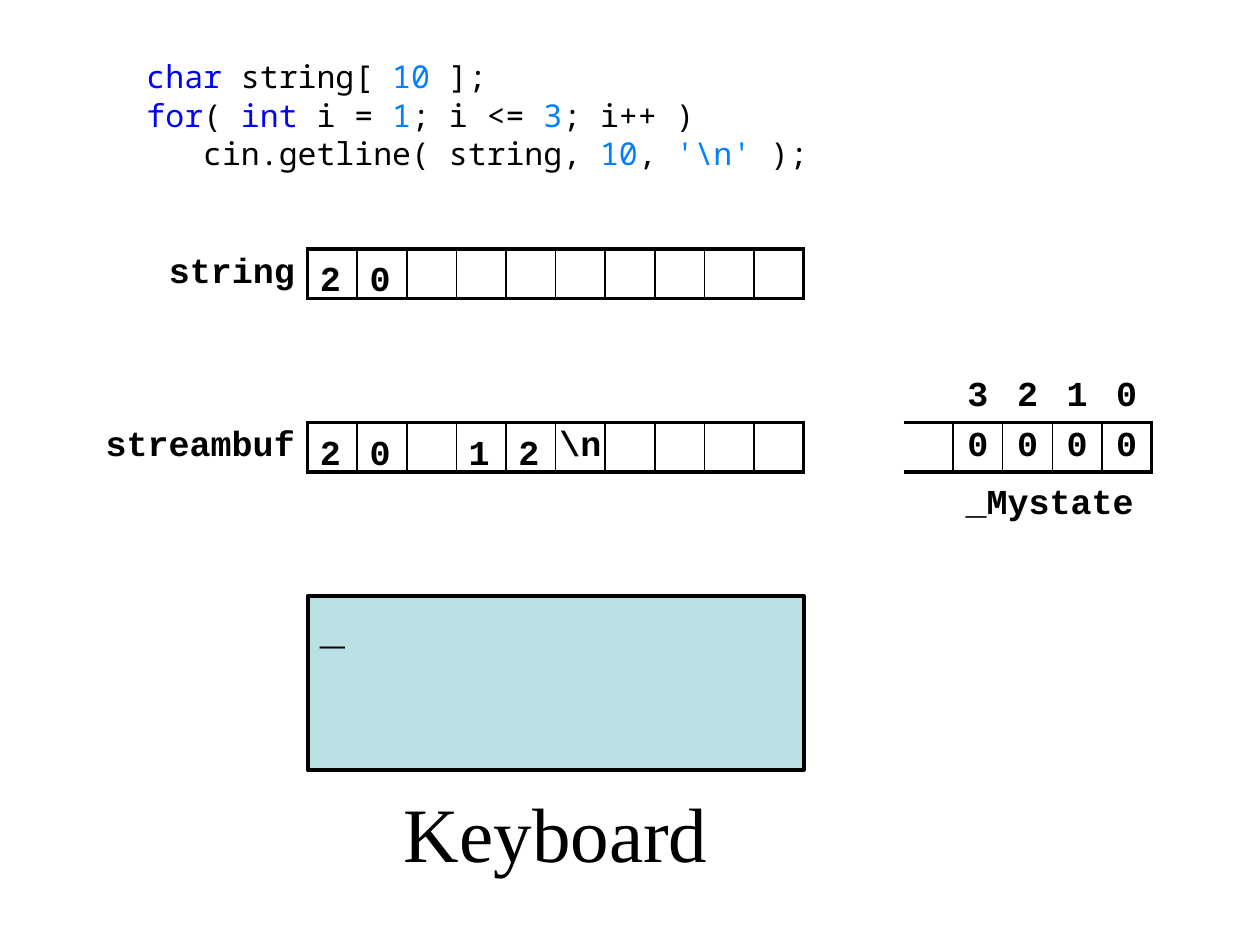
from dataclasses import dataclass

import pptx
import pptx.dml.color
import pptx.enum.shapes
import pptx.enum.text
import pptx.oxml
import pptx.oxml.ns
import pptx.util

Pt = pptx.util.Pt
ALIGN = pptx.enum.text.PP_ALIGN
ANCHOR = pptx.enum.text.MSO_ANCHOR

BLACK, KEYWORD, LITERAL, SCREEN = "000000", "0000FF", "0080FF", "BBE0E3"
THICK, THIN = 2.25, 1
CELL = 28.35
ARRAY_X = 175.75
STRING_Y, BUFFER_Y, KEYBOARD_Y = 142.3, 241.3, 340.6
STATE_X = 516.3

COURIER = {"name": "Courier New", "size": Pt(20), "bold": True}
CURSOR = {**COURIER, "size": Pt(24)}
CODE = {"name": "Noto Sans Mono", "size": Pt(18), "bold": False}
CAPTION = {"name": "Times New Roman", "size": Pt(44), "bold": False}

CODE_LINES = [
    [("char", KEYWORD), (" string[ ", BLACK), ("10", LITERAL), (" ];", BLACK)],
    [("for", KEYWORD), ("( ", BLACK), ("int", KEYWORD), (" i = ", BLACK),
     ("1", LITERAL), ("; i <= ", BLACK), ("3", LITERAL), ("; i++ )", BLACK)],
    [("   cin.getline( string, ", BLACK), ("10", LITERAL), (", ", BLACK),
     ("'\\n'", LITERAL), (" );", BLACK)],
]


@dataclass
class Grid:
    """Table whose last row is framed from column `first` on."""
    x: float
    y: float
    widths: list[float]
    rows: list[list[str]]
    first: int


@dataclass
class Label:
    text: str
    x: float
    y: float
    width: float = CELL


def rgb(color: str) -> pptx.dml.color.RGBColor:
    return pptx.dml.color.RGBColor.from_string(color)


def set_attrs(obj, values: dict) -> None:
    for name, value in values.items():
        setattr(obj, name, value)


def add_run(p, text: str, font: dict, color: str = BLACK) -> None:
    r = p.add_run()
    r.text = text
    set_attrs(r.font, font)
    r.font.color.rgb = rgb(color)


def set_margins(obj, left: float, top: float, right: float, bottom: float) -> None:
    set_attrs(obj, {"margin_left": Pt(left), "margin_top": Pt(top),
                    "margin_right": Pt(right), "margin_bottom": Pt(bottom)})


def set_border(cell, side: str, width: float) -> None:
    fill = (f'<a:solidFill><a:srgbClr val="{BLACK}"/></a:solidFill>'
            if width else "<a:noFill/>")
    cell._tc.get_or_add_tcPr().append(pptx.oxml.parse_xml(
        f'<a:ln{side} {pptx.oxml.ns.nsdecls("a")} w="{Pt(width)}">{fill}</a:ln{side}>'))


def add_grid(s, grid: Grid) -> None:
    n_rows, n_cols = len(grid.rows), len(grid.widths)
    table = s.shapes.add_table(n_rows, n_cols, Pt(grid.x), Pt(grid.y),
                               Pt(sum(grid.widths)), Pt(CELL * n_rows)).table
    set_attrs(table, {"first_row": False, "horz_banding": False})
    for column, width in zip(table.columns, grid.widths):
        column.width = Pt(width)

    def vertical(i: int, edge: int) -> float:
        if i < n_rows - 1 or edge < grid.first or edge == 0:
            return 0
        return THICK if edge in (grid.first, n_cols) else THIN

    def horizontal(edge: int, j: int) -> float:
        return THICK if j >= grid.first and edge >= n_rows - 1 else 0

    for i, texts in enumerate(grid.rows):
        table.rows[i].height = Pt(CELL)
        for j, text in enumerate(texts):
            cell = table.cell(i, j)
            is_name = j < grid.first
            cell.vertical_anchor = ANCHOR.MIDDLE
            set_margins(cell, 0, 0, 7.2 if is_name else 0, 0)
            for side, width in (("L", vertical(i, j)), ("R", vertical(i, j + 1)),
                                ("T", horizontal(i, j)), ("B", horizontal(i + 1, j))):
                set_border(cell, side, width)
            cell.fill.background()
            p = cell.text_frame.paragraphs[0]
            p.alignment = ALIGN.RIGHT if is_name else ALIGN.CENTER
            if text:
                add_run(p, text, COURIER)


def add_label(s, label: Label) -> None:
    tf = s.shapes.add_textbox(Pt(label.x), Pt(label.y), Pt(label.width), Pt(CELL)).text_frame
    set_attrs(tf, {"word_wrap": True, "vertical_anchor": ANCHOR.MIDDLE})
    set_margins(tf, 7.2, 4.5, 7.2, 0)
    add_run(tf.paragraphs[0], label.text, COURIER)


def add_code(s) -> None:
    body = s.placeholders[1]
    set_attrs(body, {"left": Pt(76.5), "top": Pt(28.8), "width": Pt(396.7), "height": Pt(85)})
    tf = body.text_frame
    set_attrs(tf, {"word_wrap": True, "vertical_anchor": ANCHOR.TOP,
                   "auto_size": pptx.enum.text.MSO_AUTO_SIZE.NONE})
    set_margins(tf, 7.2, 3.6, 2.9, 3.6)
    for i, line in enumerate(CODE_LINES):
        p = tf.add_paragraph() if i else tf.paragraphs[0]
        pPr = p._p.get_or_add_pPr()
        pPr.set("marL", "0")
        pPr.set("indent", "0")
        pPr.append(pptx.oxml.parse_xml(f'<a:buNone {pptx.oxml.ns.nsdecls("a")}/>'))
        p.space_before = Pt(0.6 if i else 0)
        for text, color in line:
            add_run(p, text, CODE, color)


def add_keyboard(s) -> None:
    sp = s.shapes.add_shape(pptx.enum.shapes.MSO_SHAPE.RECTANGLE, Pt(ARRAY_X),
                            Pt(KEYBOARD_Y), Pt(10 * CELL), Pt(3.5 * CELL))
    sp.shadow.inherit = False
    sp.fill.solid()
    sp.fill.fore_color.rgb = rgb(SCREEN)
    sp.line.color.rgb = rgb(BLACK)
    sp.line.width = Pt(THICK)
    tf = sp.text_frame
    set_attrs(tf, {"word_wrap": False, "vertical_anchor": ANCHOR.TOP})
    tf.paragraphs[0].alignment = ALIGN.LEFT
    add_run(tf.paragraphs[0], "_", CURSOR)

    tf = s.shapes.add_textbox(Pt(218.2), Pt(439.9), Pt(198.7), Pt(70.6)).text_frame
    set_attrs(tf, {"word_wrap": False, "vertical_anchor": ANCHOR.MIDDLE})
    tf.paragraphs[0].alignment = ALIGN.CENTER
    add_run(tf.paragraphs[0], "Keyboard", CAPTION)


def main() -> None:
    prs = pptx.Presentation()
    set_attrs(prs, {"slide_width": Pt(720), "slide_height": Pt(540)})
    s = prs.slides.add_slide(prs.slide_layouts[1])
    title = s.shapes.title._element
    title.getparent().remove(title)

    add_code(s)

    # Character arrays and stream state
    buffer_cells = [""] * 5 + ["\\n"] + [""] * 4
    for grid in (
        Grid(19.5, BUFFER_Y - CELL, [156.25] + [CELL] * 10,
             [[""] * 11, ["streambuf"] + buffer_cells], first=1),
        Grid(ARRAY_X - 3 * CELL, STRING_Y, [3 * CELL] + [CELL] * 10,
             [["string"] + [""] * 10], first=1),
        Grid(STATE_X, BUFFER_Y - CELL, [CELL] * 5,
             [["", "3", "2", "1", "0"], [""] + ["0"] * 4], first=0),
    ):
        add_grid(s, grid)

    add_keyboard(s)

    # Characters held in the arrays, by cell number
    for y, chars in ((STRING_Y, {0: "2", 1: "0"}),
                     (BUFFER_Y, {0: "2", 1: "0", 3: "1", 4: "2"})):
        for index, char in chars.items():
            add_label(s, Label(char, ARRAY_X + index * CELL, y))
    add_label(s, Label("_Mystate", STATE_X + CELL, BUFFER_Y + CELL, 4 * CELL))

    prs.save("out.pptx")


if __name__ == "__main__":
    main()
